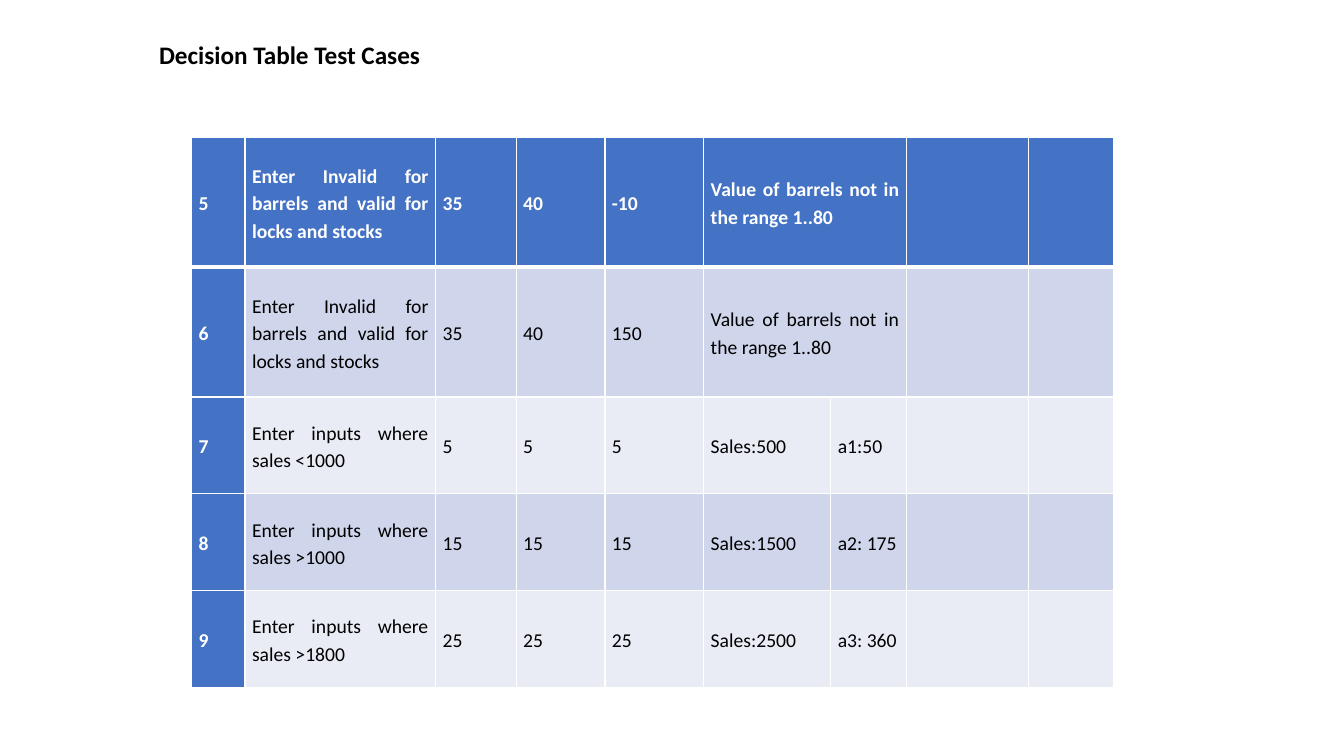
from lxml import etree
from pptx import Presentation
from pptx.dml.color import RGBColor
from pptx.enum.text import MSO_ANCHOR, MSO_AUTO_SIZE, PP_ALIGN
from pptx.oxml.ns import qn
from pptx.util import Inches, Pt

MIDDLE = MSO_ANCHOR.MIDDLE
JUSTIFY = PP_ALIGN.JUSTIFY
GROW = MSO_AUTO_SIZE.SHAPE_TO_FIT_TEXT

COLORS = {
    "header": "4472C4",
    "dark band": "CFD5EA",
    "light band": "E9EBF5",
    "white": "FFFFFF",
    "black": "000000",
}
COLUMN_WIDTHS = [0.53, 1.89, 0.8, 0.88, 0.98, 1.26, 0.75, 1.21, 0.85]
ROW_HEIGHTS = [1.29, 1.29, 0.96, 0.96, 0.96]

INVALID_STEP = "Enter Invalid for barrels and valid for locks and stocks"
OUT_OF_RANGE = "Value of barrels not in the range 1..80"
TEST_CASES = [
    ["5", INVALID_STEP, "35", "40", "-10", OUT_OF_RANGE],
    ["6", INVALID_STEP, "35", "40", "150", OUT_OF_RANGE],
    ["7", "Enter inputs where sales <1000", "5", "5", "5", "Sales:500", "a1:50"],
    ["8", "Enter inputs where sales >1000", "15", "15", "15", "Sales:1500", "a2: 175"],
    ["9", "Enter inputs where sales >1800", "25", "25", "25", "Sales:2500", "a3: 360"],
]
RESULT_COLUMN = 5


class SlideBuilder:
    font_name = "Calibri"

    def __init__(self, slide):
        self.slide = slide

    def color(self, name):
        return RGBColor.from_string(COLORS[name])

    def style(self, paragraph, size, color, bold):
        font = paragraph.font
        font.name, font.size, font.bold = self.font_name, Pt(size), bold
        font.color.rgb = self.color(color)

    def title(self, text, left, top, width, height):
        box = self.slide.shapes.add_textbox(
            Inches(left), Inches(top), Inches(width), Inches(height))
        frame = box.text_frame
        frame.word_wrap = True
        frame.auto_size = GROW
        frame.text = text
        self.style(frame.paragraphs[0], 18, "black", True)

    def borders(self, cell, widths):
        """Draw white borders; widths maps the sides L, R, T, B to points."""
        properties = cell._tc.get_or_add_tcPr()
        for side, width in widths.items():
            line = etree.SubElement(properties, qn(f"a:ln{side}"), w=str(Pt(width)))
            fill = etree.SubElement(line, qn("a:solidFill"))
            etree.SubElement(fill, qn("a:srgbClr"), val=COLORS["white"])

    def cell(self, cell, text, row, column):
        is_header = row == 0 or column == 0
        self.borders(cell, {"L": 1, "R": 1, "T": 3 if row == 1 else 1,
                            "B": 3 if row == 0 else 1})
        band = "dark band" if row % 2 else "light band"
        cell.fill.solid()
        cell.fill.fore_color.rgb = self.color("header" if is_header else band)
        cell.vertical_anchor = MIDDLE
        cell.margin_left = cell.margin_right = Inches(0.07)
        cell.margin_top = cell.margin_bottom = 0
        cell.text = text
        paragraph = cell.text_frame.paragraphs[0]
        paragraph.alignment = JUSTIFY
        paragraph.line_spacing = 1.15
        self.style(paragraph, 14, "white" if is_header else "black", is_header)

    def table(self, rows, left, top):
        frame = self.slide.shapes.add_table(
            len(rows), len(COLUMN_WIDTHS), Inches(left), Inches(top),
            Inches(sum(COLUMN_WIDTHS)), Inches(sum(ROW_HEIGHTS)))
        table = frame.table
        for column, width in zip(table.columns, COLUMN_WIDTHS):
            column.width = Inches(width)
        for row, height in zip(table.rows, ROW_HEIGHTS):
            row.height = Inches(height)
        for r, texts in enumerate(rows):
            for c in range(len(COLUMN_WIDTHS)):
                self.cell(table.cell(r, c), texts[c] if c < len(texts) else "", r, c)
            if len(texts) == RESULT_COLUMN + 1:
                table.cell(r, RESULT_COLUMN).merge(table.cell(r, RESULT_COLUMN + 1))


def main():
    deck = Presentation()
    deck.slide_width, deck.slide_height = Inches(13.33), Inches(7.5)
    page = SlideBuilder(deck.slides.add_slide(deck.slide_layouts[6]))
    page.table(TEST_CASES, 1.9, 1.36)
    page.title("Decision Table Test Cases", 1.48, 0.34, 6.67, 0.4)
    deck.save("out.pptx")


if __name__ == "__main__":
    main()
